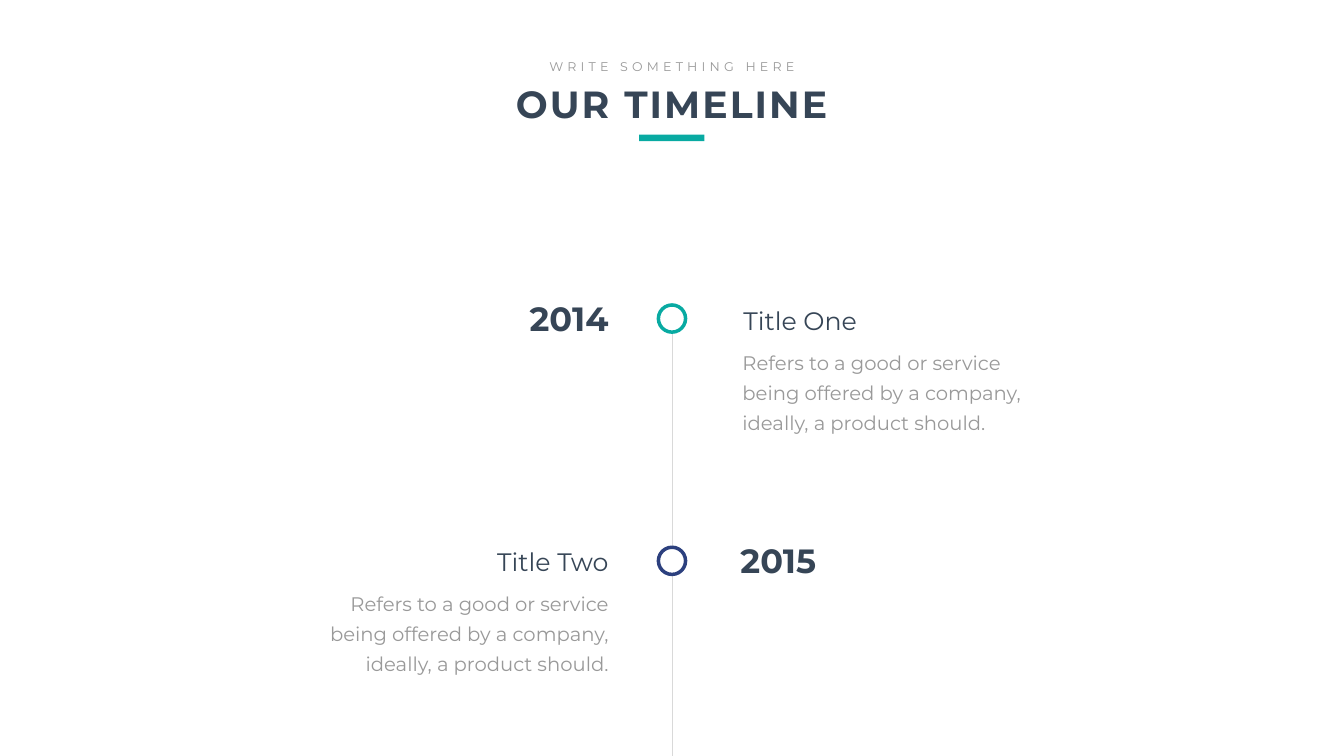
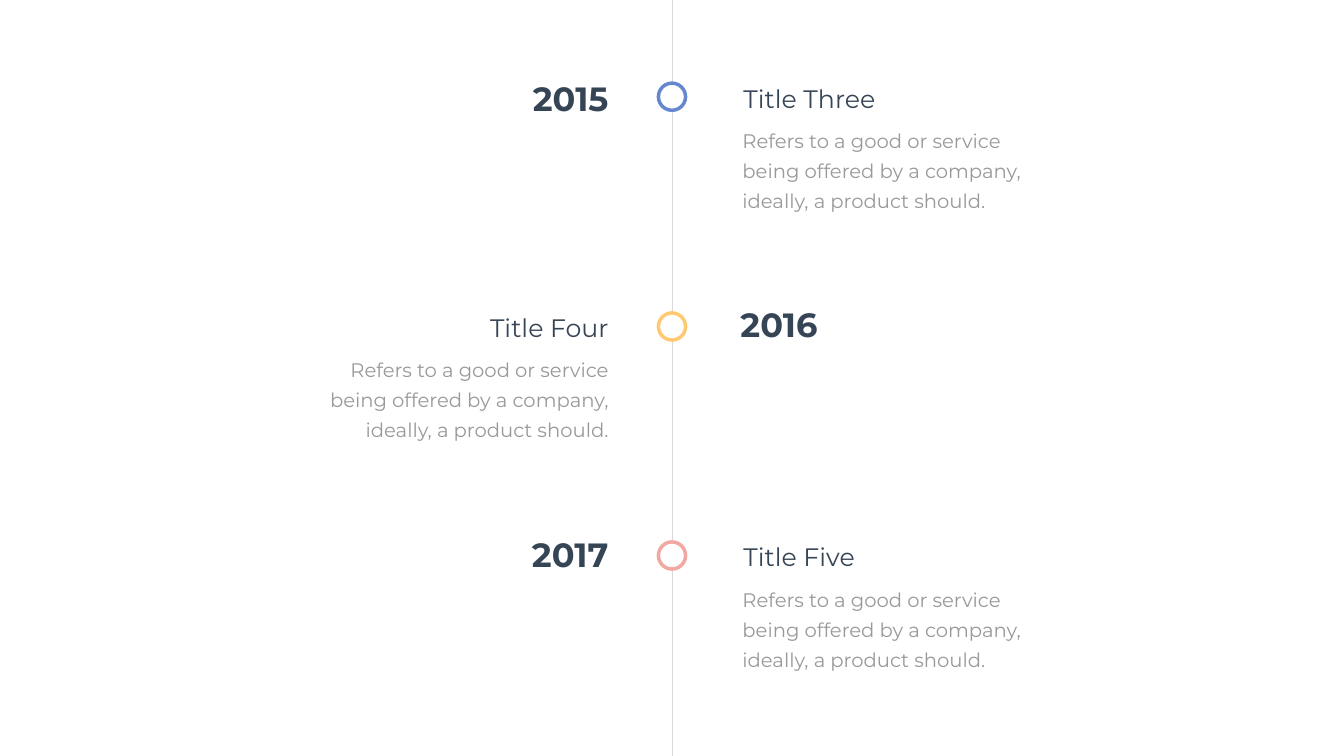
from lxml.etree import SubElement
from pptx import Presentation
from pptx.dml.color import RGBColor
from pptx.enum.shapes import MSO_CONNECTOR, MSO_SHAPE
from pptx.enum.text import MSO_ANCHOR, MSO_AUTO_SIZE, PP_ALIGN
from pptx.oxml.ns import qn
from pptx.util import Cm, Pt

TITLE = "OUR TIMELINE"
SUBTITLE = "WRITE SOMETHING HERE"
DESCRIPTION = "Refers to a good or service being offered by a company, ideally, a product should."
SLIDES = [
    {"titled": True, "line_top": 15.37, "milestones": [
        {"year": "2014", "heading": "Title One", "color": "08AAA2", "side": "right",
         "ring_top": 15.37, "year_top": 14.91, "heading_top": 15.24},
        {"year": "2015", "heading": "Title Two", "color": "2C407E", "side": "left",
         "ring_top": 27.58, "year_top": 27.1, "heading_top": 27.41},
    ]},
    {"titled": False, "line_top": 0, "milestones": [
        {"year": "2015", "heading": "Title Three", "color": "6587CD", "side": "right",
         "ring_top": 4.19, "year_top": 3.78, "heading_top": 4.06},
        {"year": "2016", "heading": "Title Four", "color": "FFC971", "side": "left",
         "ring_top": 15.77, "year_top": 15.19, "heading_top": 15.62},
        {"year": "2017", "heading": "Title Five", "color": "F3A7A3", "side": "right",
         "ring_top": 27.31, "year_top": 26.8, "heading_top": 27.18},
    ]},
]

WIDTH, HEIGHT = 67.72, 38.1
AXIS = WIDTH / 2
RING = 1.37
WHITE, ACCENT, DARK, GRAY, LINE = "FFFFFF", "08AAA2", "364556", "999999", "D9D9D9"
FONT = "Montserrat"
TITLE_FORMAT = {"name": FONT, "size": Pt(54), "bold": True}
SUBTITLE_FORMAT = {"name": FONT, "size": Pt(18)}
YEAR_FORMAT = {"name": FONT, "size": Pt(48), "bold": True}
HEADING_FORMAT = {"name": FONT, "size": Pt(36)}
BODY_FORMAT = {"name": FONT, "size": Pt(28)}
COLUMNS = {
    "year": {"left": 30.91, "right": 37.06, "width": 6.99},
    "heading": {"left": 30.91, "right": 37.21, "width": 12.22},
    "body": {"left": 31.27, "right": 36.8, "width": 16.48},
}
BODY_OFFSET = 1.8
BODY_INSETS = {"margin_left": Cm(0.61), "margin_right": Cm(0.61),
               "margin_top": Cm(0.3), "margin_bottom": Cm(0.3)}


def set_color(target, color):
    target.rgb = RGBColor.from_string(color)


def set_fill(shape, color):
    shape.fill.solid()
    set_color(shape.fill.fore_color, color)


def apply_format(target, values):
    for name, value in values.items():
        setattr(target, name, value)


def write(shape, text, font_format, color, align, spacing=0, frame_format=None):
    frame = shape.text_frame
    apply_format(frame, {"word_wrap": True, "vertical_anchor": MSO_ANCHOR.TOP,
                         "auto_size": MSO_AUTO_SIZE.SHAPE_TO_FIT_TEXT, **(frame_format or {})})
    paragraph = frame.paragraphs[0]
    paragraph.alignment = align
    run = paragraph.add_run()
    run.text = text
    apply_format(run.font, font_format)
    set_color(run.font.color, color)
    if spacing:
        run.font._element.set("spc", str(spacing * 100))
    return paragraph


def add_text(slide, box, *content, **options):
    shape = slide.shapes.add_textbox(*map(Cm, box))
    return write(shape, *content, **options)


def add_shape(slide, kind, box, color):
    shape = slide.shapes.add_shape(kind, *map(Cm, box))
    shape.shadow.inherit = False
    set_fill(shape, color)
    shape.line.fill.background()
    return shape


def add_header(slide):
    title = slide.shapes.title
    apply_format(title, {"left": Cm(24.41), "top": Cm(3.94), "width": Cm(18.87), "height": Cm(2.57)})
    write(title, TITLE, TITLE_FORMAT, DARK, PP_ALIGN.CENTER, spacing=3)
    add_text(slide, (27.28, 2.84, 13.16, 1.02), SUBTITLE, SUBTITLE_FORMAT, GRAY,
             PP_ALIGN.CENTER, spacing=6, frame_format={"word_wrap": False})
    add_shape(slide, MSO_SHAPE.RECTANGLE, (32.21, 6.78, 3.28, 0.33), ACCENT)


def add_axis(slide, top):
    axis = slide.shapes.add_connector(MSO_CONNECTOR.STRAIGHT, Cm(AXIS), Cm(top), Cm(AXIS), Cm(HEIGHT))
    set_color(axis.line.color, LINE)
    axis.line.width = Pt(0.5)
    SubElement(axis._element.spPr, qn("a:effectLst"))


def column_box(name, side, top, height):
    column = COLUMNS[name]
    left = column[side] - (column["width"] if side == "left" else 0)
    return left, top, column["width"], height


def add_milestone(slide, milestone):
    side = milestone["side"]
    year_side = "left" if side == "right" else "right"
    aligns = {"left": PP_ALIGN.RIGHT, "right": PP_ALIGN.LEFT}
    heading_top = milestone["heading_top"]
    body = add_text(slide, column_box("body", side, heading_top + BODY_OFFSET, 5.08),
                    DESCRIPTION, BODY_FORMAT, GRAY, aligns[side], frame_format=BODY_INSETS)
    body.line_spacing = Pt(43)
    add_text(slide, column_box("heading", side, heading_top, 1.8),
             milestone["heading"], HEADING_FORMAT, DARK, aligns[side])
    add_text(slide, column_box("year", year_side, milestone["year_top"], 2.31),
             milestone["year"], YEAR_FORMAT, DARK, aligns[year_side])
    ring = add_shape(slide, MSO_SHAPE.OVAL, (AXIS - RING / 2, milestone["ring_top"], RING, RING), WHITE)
    set_color(ring.line.color, milestone["color"])
    ring.line.width = Pt(5)


def main():
    presentation = Presentation()
    apply_format(presentation, {"slide_width": Cm(WIDTH), "slide_height": Cm(HEIGHT)})
    set_fill(presentation.slide_master.background, WHITE)
    for content in SLIDES:
        layout = presentation.slide_layouts[5 if content["titled"] else 6]
        slide = presentation.slides.add_slide(layout)
        if content["titled"]:
            add_header(slide)
        add_axis(slide, content["line_top"])
        for milestone in content["milestones"]:
            add_milestone(slide, milestone)
    presentation.save("out.pptx")


if __name__ == "__main__":
    main()
